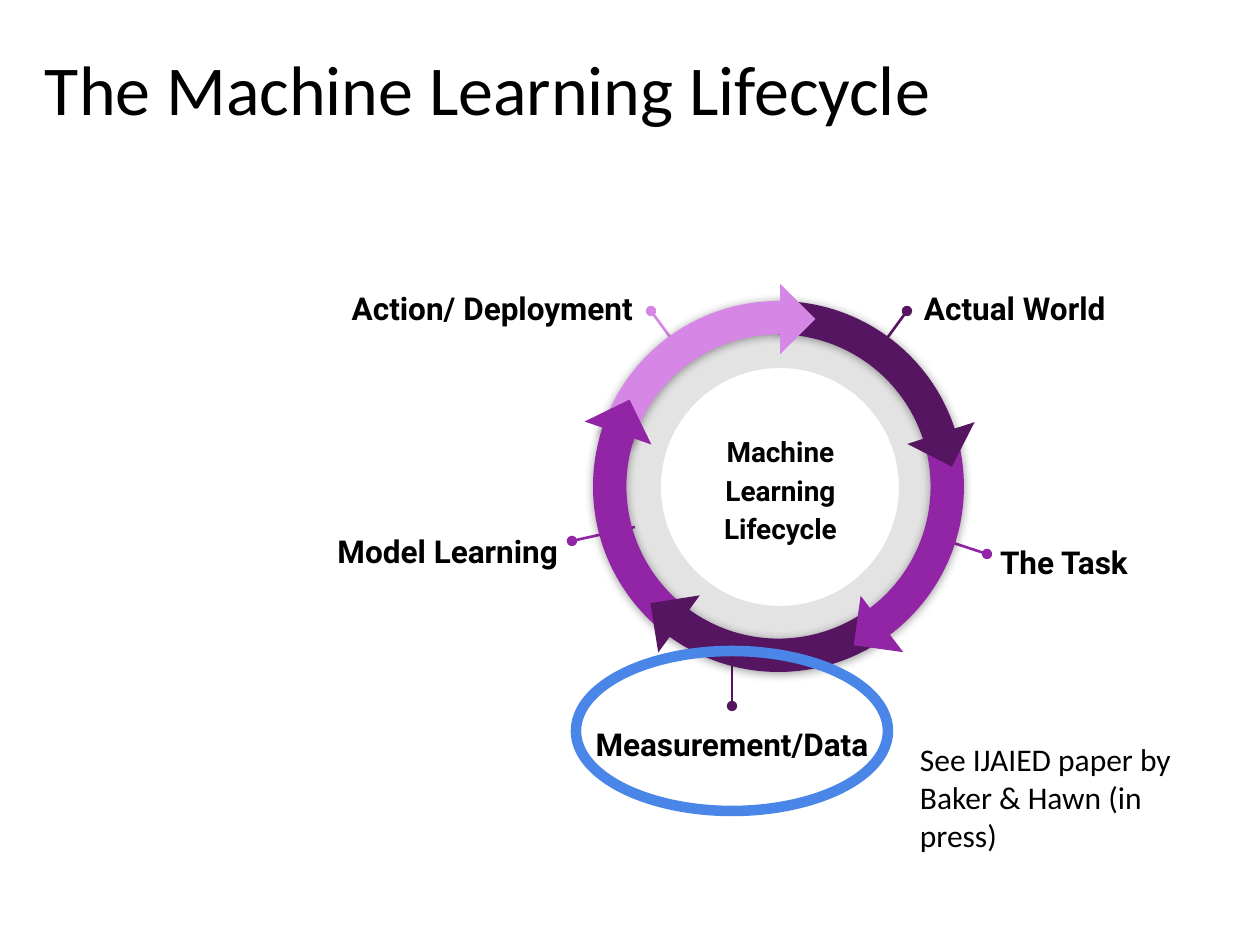
import pptx
import pptx.util
import pptx.dml.color
import pptx.enum.dml
import pptx.enum.shapes
import pptx.enum.text
import pptx.oxml
import pptx.oxml.ns
from lxml import etree

RGB = pptx.dml.color.RGBColor
SHAPE = pptx.enum.shapes.MSO_SHAPE
ALIGN = pptx.enum.text.PP_ALIGN
ANCHOR = pptx.enum.text.MSO_ANCHOR
Pt = pptx.util.Pt
qn = pptx.oxml.ns.qn

BLACK = RGB(0x00, 0x00, 0x00)
NEAR_BLACK = RGB(0x02, 0x02, 0x02)
DARK = RGB(0x55, 0x15, 0x61)
PURPLE = RGB(0x92, 0x25, 0xA5)
LIGHT = RGB(0xD6, 0x86, 0xE4)
BLUE = RGB(0x4A, 0x86, 0xE8)

EMU_PER_PX = 914400 / 126
INSET = 13


def px(*lengths):
    """Turn pixel lengths into EMU."""
    return [round(length * EMU_PER_PX) for length in lengths]


def write(box, text, size, font="Roboto", bold=True, align=ALIGN.LEFT,
          anchor=ANCHOR.TOP, spacing=1.15, color=BLACK):
    frame = box.text_frame
    inset = px(INSET)[0]
    frame_format = {
        "word_wrap": True, "vertical_anchor": anchor,
        "auto_size": pptx.enum.text.MSO_AUTO_SIZE.NONE,
        "margin_left": inset, "margin_right": inset,
        "margin_top": inset, "margin_bottom": inset,
    }
    for name, value in frame_format.items():
        setattr(frame, name, value)
    para = frame.paragraphs[0]
    para.text = text
    para.alignment = align
    para.line_spacing = spacing
    for span in para.runs:
        for name, value in {"name": font, "size": Pt(size), "bold": bold}.items():
            setattr(span.font, name, value)
        span.font.color.rgb = color


deck = pptx.Presentation()
deck.slide_width, deck.slide_height = px(1260, 945)
page = deck.slides.add_slide(deck.slide_layouts[5])
shapes = page.shapes

title = shapes.title
title.left, title.top, title.width, title.height = px(32, 33, 1174, 79)
write(title, "The Machine Learning Lifecycle", 40, "Calibri", False, spacing=1.0)

# Grey inner ring
ring = shapes.add_shape(SHAPE.DONUT, *px(605, 312, 350, 350))
ring.shadow.inherit = False
ring.adjustments[0] = 0.16
ring.fill.solid()
ring.fill.fore_color.rgb = BLACK
ring.line.fill.background()
ring_color = ring.fill._xPr.find(".//" + qn("a:srgbClr"))
etree.SubElement(ring_color, qn("a:alpha"), val="11000")

# Stage labels, each with a leader that starts at a dot
stages = [
    ("Actual World", ALIGN.LEFT, (911, 270, 239, 57), (907, 311, 869, 363), DARK),
    ("Action/ Deployment", ALIGN.RIGHT, (296, 270, 350, 67), (651, 311, 689, 363), LIGHT),
    ("The Task", ALIGN.LEFT, (987, 524, 207, 57), (987, 554, 926, 534), PURPLE),
    ("Model Learning", ALIGN.RIGHT, (323, 513, 248, 67), (572, 541, 635, 527), PURPLE),
    ("Measurement/Data", ALIGN.CENTER, (557, 706, 350, 92), (732, 706, 732, 638), DARK),
]
for text, align, place, ends, color in stages:
    leader = shapes.add_connector(pptx.enum.shapes.MSO_CONNECTOR.STRAIGHT, *px(*ends))
    leader.line.color.rgb = color
    leader.line.width = Pt(1.5)
    etree.SubElement(leader.line._get_or_add_ln(), qn("a:headEnd"), type="oval")
    etree.SubElement(leader._element.spPr, qn("a:effectLst"))
    write(shapes.add_textbox(*px(*place)), text, 18, align=align)

center = shapes.add_textbox(*px(664, 432, 233, 111))
write(center, "Machine Learning Lifecycle", 16, align=ALIGN.CENTER,
      anchor=ANCHOR.MIDDLE, color=NEAR_BLACK)

# Cycle arcs: start and end in degrees, clockwise from the right
arcs = [(270, 347, DARK), (346, 54, PURPLE), (196, 271, LIGHT),
        (126, 200, PURPLE), (56, 128, DARK)]
for start, end, color in arcs:
    arc = shapes.add_shape(SHAPE.BLOCK_ARC, *px(593, 301, 371, 371))
    # Angles are stored as 60000 units a degree, adjustments as 100000 units
    for index, value in enumerate((start * 0.6, end * 0.6, 0.09)):
        arc.adjustments[index] = value
    arc.fill.solid()
    arc.fill.fore_color.rgb = color
    arc.line.fill.background()
    arc.shadow.inherit = False
    effects = arc._element.spPr.find(qn("a:effectLst"))
    shadow = etree.SubElement(effects, qn("a:outerShdw"), blurRad=str(Pt(5.6)),
                              dist=str(Pt(0.8)), dir="5400000", rotWithShape="0")
    shade = etree.SubElement(shadow, qn("a:srgbClr"), val=str(BLACK))
    etree.SubElement(shade, qn("a:alpha"), val="40000")

# Arrow tips: left, top, rotation
tips = [(916, 408, 297, DARK), (593, 408, 154, PURPLE), (857, 599, 8, PURPLE),
        (654, 599, 81, DARK), (755, 294, 225, LIGHT)]
for left, top, rotation, color in tips:
    tip = shapes.add_shape(SHAPE.RIGHT_TRIANGLE, *px(left, top, 50, 50))
    tip.rotation = rotation
    tip.shadow.inherit = False
    tip.fill.solid()
    tip.fill.fore_color.rgb = color
    tip.line.fill.background()

highlight = shapes.add_shape(SHAPE.OVAL, *px(576, 651, 312, 160))
highlight.shadow.inherit = False
highlight.fill.background()
highlight.line.color.rgb = BLUE
highlight.line.width = Pt(6)

note = shapes.add_textbox(*px(907, 727, 312, 140))
write(note, "See IJAIED paper by \vBaker & Hawn (in press)", 18, "Calibri", False,
      spacing=1.0)

deck.save("out.pptx")
